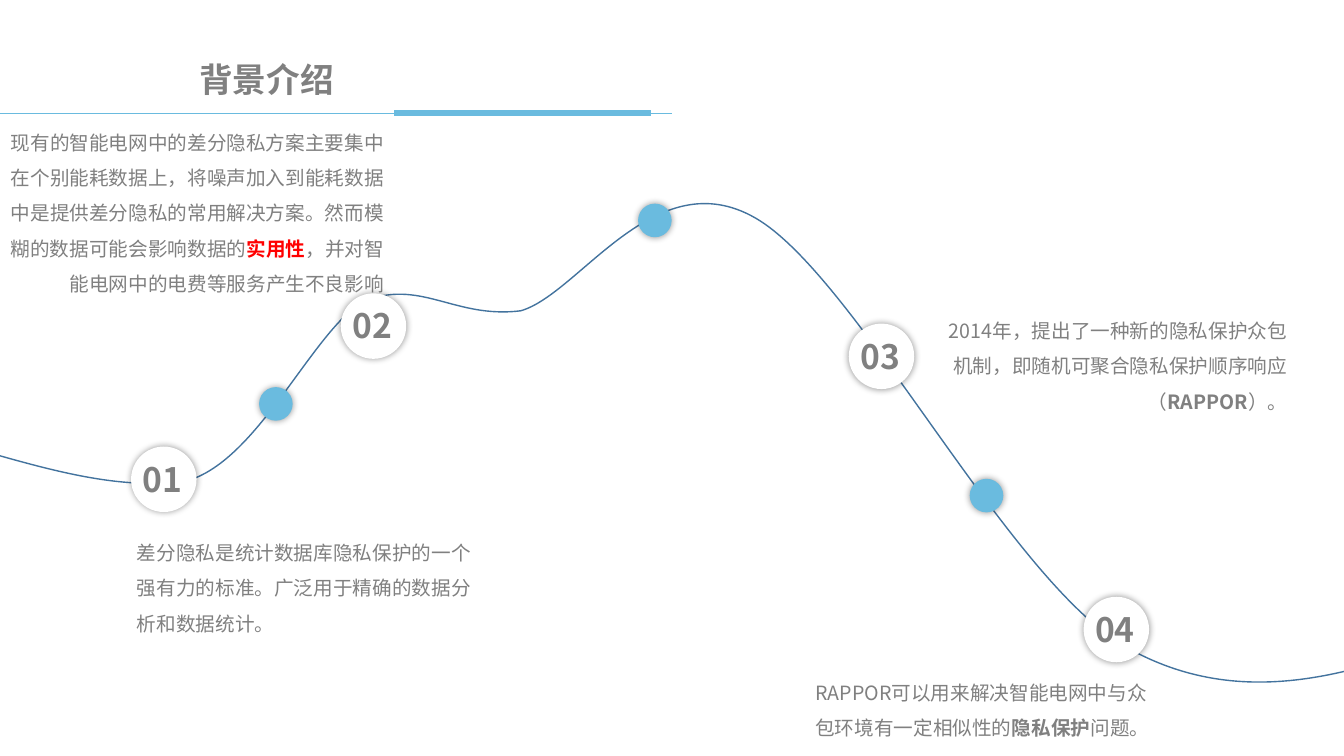
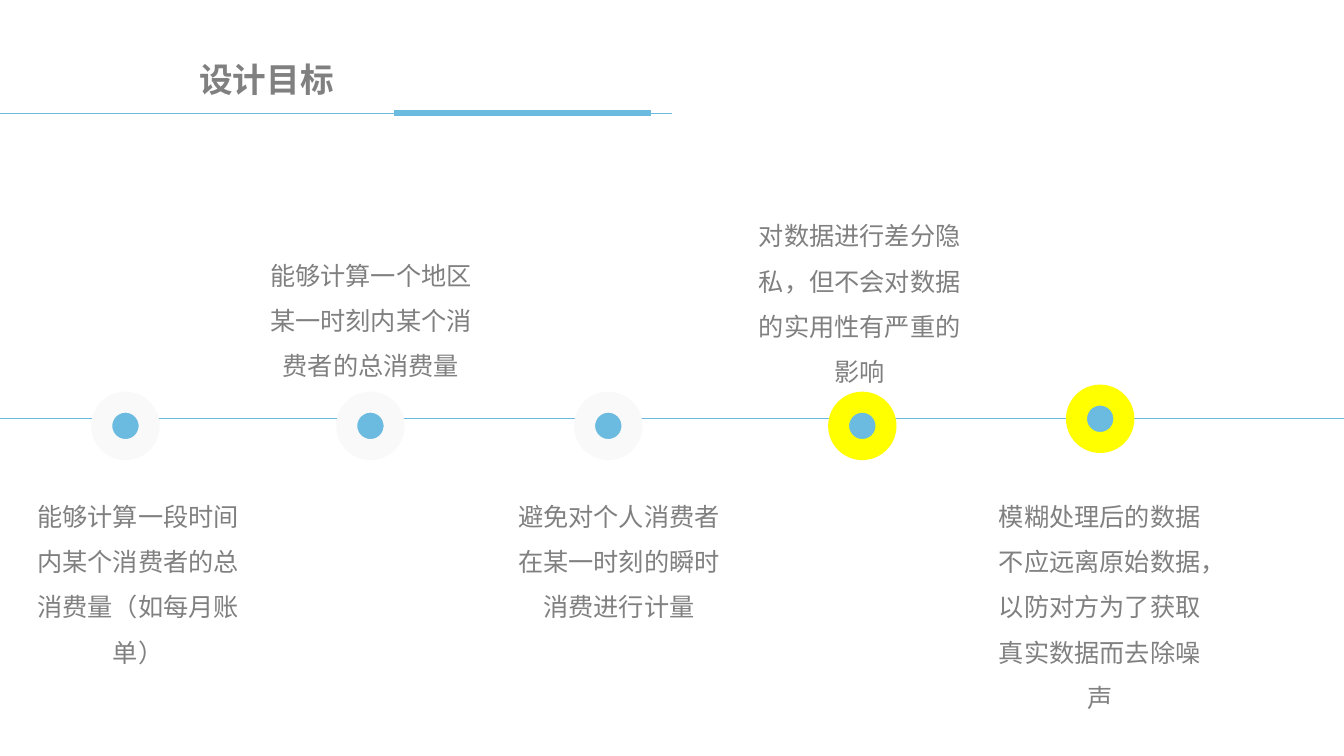
from dataclasses import dataclass
from typing import NamedTuple, Optional

from lxml import etree
from pptx import Presentation
from pptx import util as u
from pptx.dml.color import RGBColor
from pptx.enum import shapes, text
from pptx.oxml import ns

# Grid: 160 columns by 90 rows of square cells
COLUMNS, ROWS = 160, 90
CELL = u.Inches(7.5) / ROWS

FONT = "Noto Sans CJK SC"
BLUE = RGBColor(0x6A, 0xBB, 0xDF)
CURVE_BLUE = RGBColor(0x43, 0x73, 0x9E)
GRAY = RGBColor(0x80, 0x80, 0x80)
PALE = RGBColor(0xF9, 0xF9, 0xF9)
WHITE = RGBColor(0xFF, 0xFF, 0xFF)
RED = RGBColor(0xFF, 0x00, 0x00)
YELLOW = RGBColor(0xFF, 0xFF, 0x00)
LEFT, CENTER, RIGHT = text.PP_ALIGN.LEFT, text.PP_ALIGN.CENTER, text.PP_ALIGN.RIGHT

HEADER_ROW = 13.44
AXIS_ROW = 49.8
DOT_SIZE, BADGE_SIZE, RING_SIZE = 4, 7.8, 5.64


class Point(NamedTuple):
    column: float
    row: float


class Box(NamedTuple):
    column: float
    row: float
    width: float
    height: float


class Run(NamedTuple):
    words: str
    bold: bool = False
    color: RGBColor = GRAY


@dataclass(frozen=True)
class Note:
    box: Box
    runs: tuple[Run, ...]
    align: text.PP_ALIGN = LEFT


@dataclass(frozen=True)
class Goal:
    ring: Point
    ring_color: RGBColor
    box: Box
    words: str


# Background slide: a start point, then three control points per segment
CURVE = [
    (-8.16, 51.72),
    (3, 55.44), (14.28, 59.16), (22.8, 56.64),
    (31.44, 54), (36.84, 39.72), (43.32, 36.48),
    (49.8, 33.12), (53.88, 38.4), (61.68, 36.6),
    (69.48, 34.8), (78.36, 19.2), (90.36, 25.92),
    (102.36, 32.64), (119.64, 68.76), (133.8, 76.92),
    (147.96, 85.08), (161.64, 79.92), (175.32, 74.76),
]
DOTS = [Point(115.44, 57), Point(75.96, 24.24), Point(30.84, 46.08)]
BADGES = [Point(15.6, 53.16), Point(40.56, 34.92), Point(101.04, 38.52), Point(129, 71.04)]
NOTES = [
    Note(Box(15.12, 62.4, 43.2, 13.44), (
        Run("差分隐私是统计数据库隐私保护的一个强有力的标准。广泛用于精确的数据分析和数据统计。"),
    )),
    Note(Box(111.24, 36, 43.2, 13.92), (
        Run("2014年，提出了一种新的隐私保护众包机制，即随机可聚合隐私保护顺序响应（"),
        Run("RAPPOR", bold=True),
        Run("）。"),
    ), RIGHT),
    Note(Box(95.88, 79.08, 43.2, 9.72), (
        Run("RAPPOR可以用来解决智能电网中与众包环境有一定相似性的"),
        Run("隐私保护", bold=True),
        Run("问题。"),
    )),
    Note(Box(-1.8, 13.56, 48.72, 22.44), (
        Run("现有的智能电网中的差分隐私方案主要集中在个别能耗数据上，将噪声加入到能耗数据中是"
            "提供差分隐私的常用解决方案。然而模糊的数据可能会影响数据的"),
        Run("实用性", bold=True, color=RED),
        Run("，并对智能电网中的电费等服务产生不良影响"),
    ), RIGHT),
]

# Goals slide
GOAL_WIDTH = 28.08
BELOW_ROW = 57.24
GOALS = [
    Goal(Point(12.12, 47.88), PALE, Box(2.4, BELOW_ROW, GOAL_WIDTH, 22.2),
         "能够计算一段时间内某个消费者的总消费量（如每月账单）"),
    Goal(Point(41.28, 47.88), PALE, Box(30.12, 28.56, GOAL_WIDTH, 16.68),
         "能够计算一个地区某一时刻内某个消费者的总消费量"),
    Goal(Point(69.6, 47.88), PALE, Box(59.64, BELOW_ROW, GOAL_WIDTH, 16.68),
         "避免对个人消费者在某一时刻的瞬时消费进行计量"),
    Goal(Point(99.84, 47.88), YELLOW, Box(88.32, 23.88, GOAL_WIDTH, 22.2),
         "对数据进行差分隐私，但不会对数据的实用性有严重的影响"),
    Goal(Point(128.16, 47.04), YELLOW, Box(116.88, BELOW_ROW, GOAL_WIDTH, 27.6),
         "模糊处理后的数据不应远离原始数据，以防对方为了获取真实数据而去除噪声"),
]


def cells(count: float) -> u.Emu:
    return u.Emu(round(count * CELL))


def add_text(slide, box: Box, *runs: Run, size: float, align=LEFT, spacing: float = 1.0):
    """Add a text box holding one paragraph of formatted runs."""
    shape = slide.shapes.add_textbox(*map(cells, box))
    frame = shape.text_frame
    frame.word_wrap = True
    frame.auto_size = text.MSO_AUTO_SIZE.SHAPE_TO_FIT_TEXT
    paragraph = frame.paragraphs[0]
    paragraph.alignment = align
    paragraph.line_spacing = spacing
    for part in runs:
        run = paragraph.add_run()
        run.text = part.words
        run.font.size = u.Pt(size)
        run.font.bold = part.bold
        run.font.color.rgb = part.color
        run.font.name = FONT
        east_asian = etree.SubElement(run.font._element, ns.qn("a:ea"))
        east_asian.set("typeface", FONT)


def add_line(slide, start: Point, end: Point, width: float) -> None:
    connector = slide.shapes.add_connector(
        shapes.MSO_CONNECTOR.STRAIGHT, *map(cells, (*start, *end)))
    connector.line.color.rgb = BLUE
    connector.line.width = u.Pt(width)
    etree.SubElement(connector._element.spPr, ns.qn("a:effectLst"))


def add_circle(slide, corner: Point, size: float, fill: RGBColor,
               ring: Optional[RGBColor] = None, shadow: bool = False) -> None:
    shape = slide.shapes.add_shape(
        shapes.MSO_SHAPE.OVAL, *map(cells, (*corner, size, size)))
    shape.fill.solid()
    shape.fill.fore_color.rgb = fill
    if ring is None:
        shape.line.fill.background()
    else:
        shape.line.color.rgb = ring
        shape.line.width = u.Pt(15)
    shape.shadow.inherit = False
    if shadow:
        effects = shape._element.spPr.find(ns.qn("a:effectLst"))
        outer = etree.SubElement(effects, ns.qn("a:outerShdw"),
                                 blurRad=str(u.Pt(5)), dist="0", dir="0",
                                 algn="ctr", rotWithShape="0")
        color = etree.SubElement(outer, ns.qn("a:srgbClr"), val="000000")
        etree.SubElement(color, ns.qn("a:alpha"), val="40000")


def add_curve(slide) -> None:
    """Draw the control points, then turn each three line steps into a cubic."""
    start, *controls = CURVE
    builder = slide.shapes.build_freeform(*start, scale=CELL)
    builder.add_line_segments(controls, close=False)
    shape = builder.convert_to_shape()
    shape.fill.background()
    shape.line.color.rgb = CURVE_BLUE
    shape.line.width = u.Pt(1)
    shape.shadow.inherit = False
    steps = list(shape._element.iter(ns.qn("a:lnTo")))
    outline = steps[0].getparent()
    for first in range(0, len(steps), 3):
        cubic = etree.SubElement(outline, ns.qn("a:cubicBezTo"))
        for step in steps[first:first + 3]:
            cubic.append(step[0])
            outline.remove(step)


def add_slide(presentation):
    slide = presentation.slides.add_slide(presentation.slide_layouts[6])
    slide.background.fill.solid()
    slide.background.fill.fore_color.rgb = WHITE
    return slide


def add_header(slide, title: str) -> None:
    add_line(slide, Point(0, HEADER_ROW), Point(COLUMNS / 2, HEADER_ROW), 0.5)
    add_line(slide, Point(46.92, HEADER_ROW), Point(77.52, HEADER_ROW), 4)
    add_text(slide, Box(22.56, 6.48, 55.08, 6), Run(title, bold=True), size=24)


def build_background(presentation) -> None:
    slide = add_slide(presentation)
    add_curve(slide)
    for dot in DOTS:
        add_circle(slide, dot, DOT_SIZE, BLUE, shadow=True)
    for note in NOTES:
        add_text(slide, note.box, *note.runs, size=14, align=note.align, spacing=1.5)
    for number, badge in enumerate(BADGES, start=1):
        add_circle(slide, badge, BADGE_SIZE, WHITE, shadow=True)
        label = Box(badge.column + 0.2, badge.row + 0.84, 8.4, 6)
        add_text(slide, label, Run(f"{number:02}", bold=True), size=24)
    add_header(slide, "背景介绍")


def build_goals(presentation) -> None:
    slide = add_slide(presentation)
    joint = Point(103.56, AXIS_ROW)
    for edge in (0, COLUMNS):
        add_line(slide, joint, Point(edge, AXIS_ROW), 0.5)
    add_header(slide, "设计目标")
    for goal in GOALS:
        add_circle(slide, goal.ring, RING_SIZE, BLUE, ring=goal.ring_color)
        add_text(slide, goal.box, Run(goal.words), size=18, align=CENTER, spacing=1.5)


def main() -> None:
    presentation = Presentation()
    presentation.slide_width = cells(COLUMNS)
    presentation.slide_height = cells(ROWS)
    build_background(presentation)
    build_goals(presentation)
    presentation.save("out.pptx")


if __name__ == "__main__":
    main()
